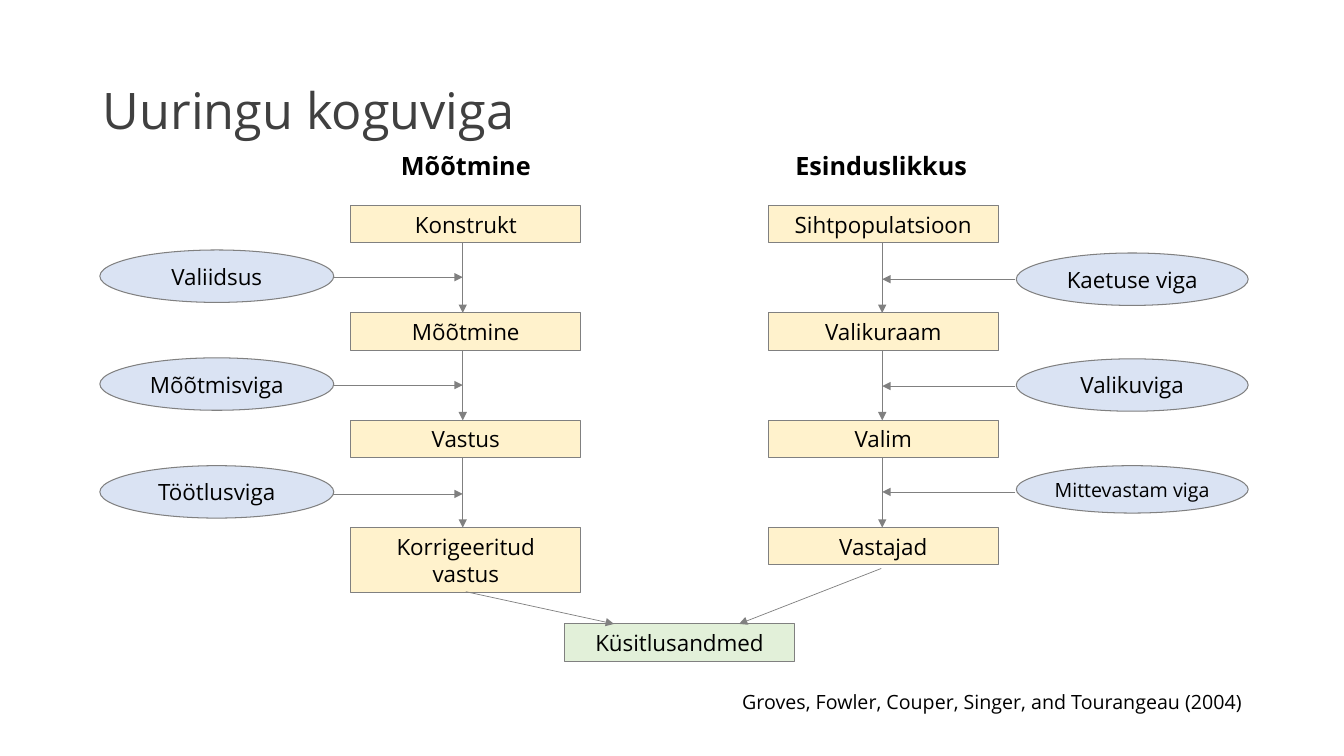
"""Build the slide on total survey error: two chains of steps that meet in the survey data."""
from lxml.etree import SubElement
from pptx import Presentation
from pptx.dml.color import RGBColor
from pptx.enum.shapes import MSO_CONNECTOR, MSO_SHAPE
from pptx.enum.text import MSO_ANCHOR, MSO_AUTO_SIZE, PP_ALIGN
from pptx.oxml.ns import qn
from pptx.util import Inches, Pt

FONT = "Open Sans"
GREY, BLACK = "808080", "000000"
STEP_FILL, ERROR_FILL, DATA_FILL = "FFF2CC", "DAE3F3", "E2F0D9"
MARGIN, CONTENT_WIDTH = 0.92, 11.5
FIRST_ROW, ROW_PITCH = 2.04, 1.065
BOX_WIDTH, BOX_HEIGHT, TALL_BOX_HEIGHT = 2.28, 0.37, 0.64
DATA_LEFT, DATA_TOP = 5.6, 6.19

presentation = Presentation()
presentation.slide_width, presentation.slide_height = Inches(13.33), Inches(7.5)
slide = presentation.slides.add_slide(presentation.slide_layouts[5])


def place_text(position, text, size=16, shape_kind=None, fill=None, align=PP_ALIGN.CENTER):
    """Add a filled shape, or a plain text box when no kind is given."""
    box = [Inches(length) for length in position]
    if shape_kind is None:
        shape = slide.shapes.add_textbox(*box)
    else:
        shape = slide.shapes.add_shape(shape_kind, *box)
        shape.shadow.inherit = False
        shape.fill.solid()
        shape.fill.fore_color.rgb = RGBColor.from_string(fill)
        shape.line.color.rgb = RGBColor.from_string(GREY)
        shape.line.width = Pt(0.75)
    frame = shape.text_frame
    frame.word_wrap = True
    frame.vertical_anchor = MSO_ANCHOR.TOP if shape_kind is None else MSO_ANCHOR.MIDDLE
    frame.text = text
    paragraph = frame.paragraphs[0]
    paragraph.alignment = align
    font = paragraph.runs[0].font
    font.name, font.size = FONT, Pt(size)
    font.color.rgb = RGBColor.from_string(BLACK)
    return shape


def add_arrow(*ends):
    """Draw a thin grey arrow from the first point to the second."""
    arrow = slide.shapes.add_connector(MSO_CONNECTOR.STRAIGHT, *[Inches(length) for length in ends])
    arrow.line.color.rgb = RGBColor.from_string(GREY)
    arrow.line.width = Pt(0.5)
    SubElement(arrow.line._get_or_add_ln(), qn("a:tailEnd"), type="triangle")
    SubElement(arrow._element.spPr, qn("a:effectLst"))


title = slide.shapes.title
title.left, title.top = Inches(MARGIN), Inches(0.4)
title.width, title.height = Inches(CONTENT_WIDTH), Inches(1.45)
title.text_frame.text = "Uuringu koguviga"
title.text_frame.auto_size = MSO_AUTO_SIZE.NONE
title.text_frame.vertical_anchor = MSO_ANCHOR.MIDDLE
title_paragraph = title.text_frame.paragraphs[0]
title_paragraph.alignment = PP_ALIGN.LEFT
title_paragraph.line_spacing = 0.9
title_font = title_paragraph.runs[0].font
title_font.name, title_font.size = FONT, Pt(36)
title_font.color.rgb = RGBColor.from_string("404040")

chains = [
    {
        "heading": "Mõõtmine", "heading_left": 3.48, "left": 3.48, "axis": 4.59,
        "steps": ["Konstrukt", "Mõõtmine", "Vastus", "Korrigeeritud vastus"],
        "error_left": 0.99, "error_width": 2.32, "error_edge": 3.3,
        "errors": [("Valiidsus", 2.48, 0.52, 2.75), ("Mõõtmisviga", 3.55, 0.52, 3.82),
                   ("Töötlusviga", 4.62, 0.52, 4.9)],
    },
    {
        "heading": "Esinduslikkus", "heading_left": 7.6, "left": 7.62, "axis": 8.75,
        "steps": ["Sihtpopulatsioon", "Valikuraam", "Valim", "Vastajad"],
        "error_left": 10.08, "error_width": 2.3, "error_edge": 10.07,
        "errors": [("Kaetuse viga", 2.51, 0.52, 2.77), ("Valikuviga", 3.56, 0.52, 3.83),
                   ("Mittevastam viga", 4.62, 0.47, 4.88)],
    },
]

for chain in chains:
    heading = place_text((chain["heading_left"], 1.44, BOX_WIDTH, 0.4), chain["heading"], 18)
    heading.text_frame.paragraphs[0].runs[0].font.bold = True

    for row, step in enumerate(chain["steps"]):
        top = FIRST_ROW + row * ROW_PITCH
        height = TALL_BOX_HEIGHT if " " in step else BOX_HEIGHT
        place_text((chain["left"], top, BOX_WIDTH, height), step, 16, MSO_SHAPE.RECTANGLE, STEP_FILL)
        if row > 0:
            add_arrow(chain["axis"], top - ROW_PITCH + BOX_HEIGHT, chain["axis"], top)

    for error, top, height, arrow_height in chain["errors"]:
        narrow = height < 0.5
        ellipse = place_text((chain["error_left"], top, chain["error_width"], height), error,
                             14 if narrow else 16, MSO_SHAPE.OVAL, ERROR_FILL)
        if narrow:
            ellipse.text_frame.margin_left = ellipse.text_frame.margin_right = 0
        add_arrow(chain["error_edge"], arrow_height, chain["axis"], arrow_height)

place_text((DATA_LEFT, DATA_TOP, BOX_WIDTH, BOX_HEIGHT), "Küsitlusandmed", 16,
           MSO_SHAPE.RECTANGLE, DATA_FILL)
add_arrow(4.62, 5.87, 6.09, DATA_TOP)
add_arrow(8.74, 5.64, 7.33, DATA_TOP)

place_text((MARGIN, 6.8, CONTENT_WIDTH, 0.34),
           "Groves, Fowler, Couper, Singer, and Tourangeau (2004)", 14, align=PP_ALIGN.RIGHT)

presentation.save("out.pptx")
